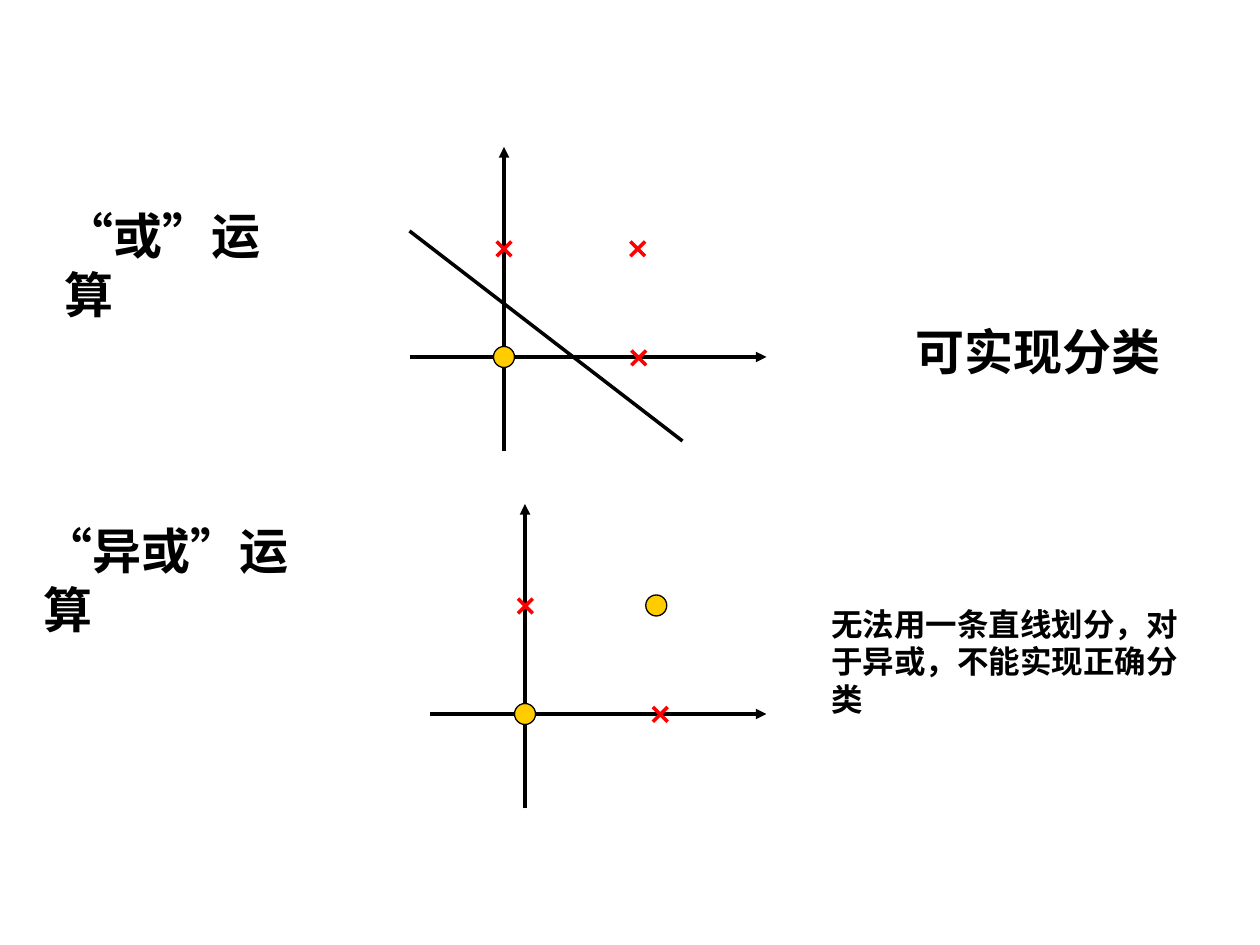
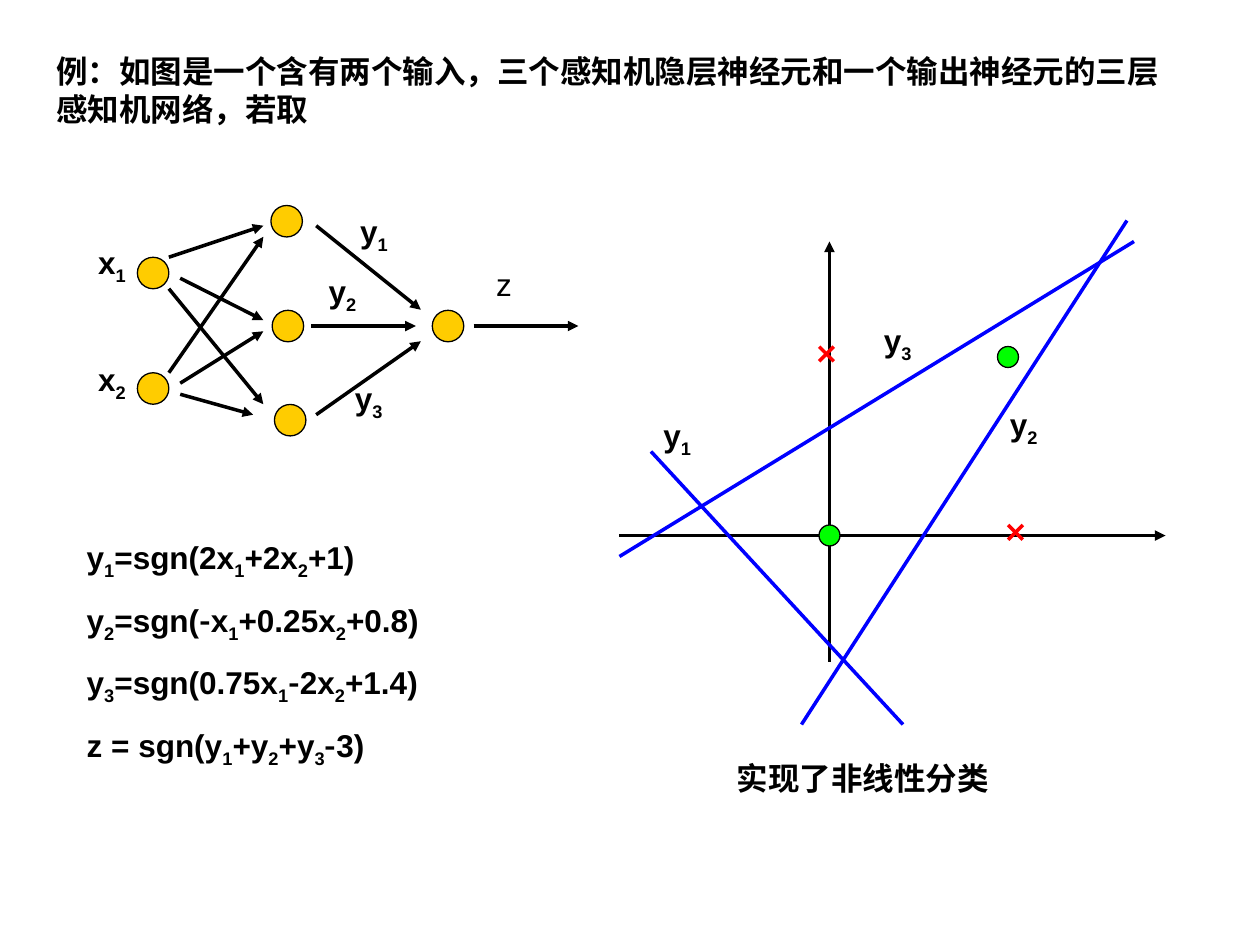
from dataclasses import dataclass
from itertools import groupby
from typing import Any, Iterator

from lxml import etree
from pptx import Presentation
from pptx import util as u
from pptx.dml import color
from pptx.enum import lang, shapes, text
from pptx.oxml import ns

Pt = u.Pt
Point = tuple[float, float]

BLACK, RED, BLUE = "000000", "FF0000", "0000FF"
YELLOW, GREEN = "FFCC00", "00FF00"
LATIN, EAST_ASIAN = "Arial", "Noto Sans CJK SC"
TITLE_ONLY, BLANK = 5, 6
DOT, NEURON, CROSS = 12, 18, 8.4


@dataclass
class Label:
    lines: tuple[str, ...]
    x: float
    y: float
    w: float = 36
    h: float = 31.5
    size: float = 18
    bold: bool = True


@dataclass
class Line:
    start: Point
    end: Point
    color: str = BLACK
    arrow: bool = False


@dataclass
class Plot:
    origin: Point
    x_axis: Point
    y_axis: Point
    dot_color: str
    dots: tuple[Point, ...]
    crosses: tuple[Point, ...]
    dividers: tuple[Line, ...] = ()


OR_PLOT = Plot((288, 204), (234, 438), (258, 84), YELLOW, (),
               ((288, 142.2), (365, 204.5), (364.4, 142.2)),
               (Line((234, 132), (390, 252)),))
XOR_PLOT = Plot((300, 408), (246, 438), (462, 288), YELLOW, ((375, 346),),
                ((300.2, 346.3), (377.3, 408.2)))
NETWORK_PLOT = Plot((474, 306), (354, 666), (378, 138), GREEN, ((576, 204),),
                    ((472.3, 202.3), (580.3, 304.2)),
                    (Line((354, 318), (648, 138), BLUE),
                     Line((458, 414), (644, 126), BLUE),
                     Line((372, 258), (516, 414), BLUE)))

OPERATION_LABELS = (
    Label(("“或”运算",), 30, 114, 138, 75, 28),
    Label(("“异或”运算",), 18, 294, 162, 75, 28),
    Label(("可实现分类",), 516, 180, 180, 41, 28),
    Label(("无法用一条直线划分，对于异或，不能实现正确分类",), 468, 342, 228, 72),
)

EXAMPLE = Label(("例：如图是一个含有两个输入，三个感知机隐层神经元和一个输出神经元的三层感知机网络，若取",),
                25, 26, 648, 50.5)

NEURONS = ((87.5, 156), (87.5, 222), (163.8, 126.4), (164.5, 186.3),
           (165.8, 240.1), (256, 186.3))
SIGNALS = (
    Line((96.5, 147), (150.5, 129), arrow=True),
    Line((103, 159), (150.5, 183), arrow=True),
    Line((96.5, 165), (150.5, 231), arrow=True),
    Line((96.5, 213), (150.5, 135.3), arrow=True),
    Line((103, 219), (150.5, 189.3), arrow=True),
    Line((103, 225.3), (144.7, 237), arrow=True),
    Line((180.7, 129), (240.5, 177), arrow=True),
    Line((177.8, 186.3), (237.6, 186.3), arrow=True),
    Line((180.7, 237), (240.5, 195), arrow=True),
    Line((270.7, 186.3), (330.5, 186.3), arrow=True),
)
NETWORK_LABELS = (
    Label(("y_1",), 198.7, 117.4),
    Label(("y_2",), 180.7, 152),
    Label(("z",), 276.5, 147.6, bold=False),
    Label(("x_1",), 49, 135.4),
    Label(("x_2",), 49, 202.3),
    Label(("y_3",), 195.8, 213),
    Label(("y_1=sgn(2x_1+2x_2+1)", "y_2=sgn(-x_1+0.25x_2+0.8)",
           "y_3=sgn(0.75x_1-2x_2+1.4)", "z = sgn(y_1+y_2+y_3-3)"),
          42.5, 304, 282, 140),
    Label(("实现了非线性分类",), 414, 430, 228, 29),
    Label(("y_1",), 372, 234),
    Label(("y_2",), 570, 228),
    Label(("y_3",), 498, 180),
)


def rgb(value: str) -> color.RGBColor:
    return color.RGBColor.from_string(value)


def split_runs(line: str) -> Iterator[tuple[str, bool, str]]:
    for i, part in enumerate(line.split("_")):
        if i:
            yield part[0], True, LATIN
            part = part[1:]
        for is_minus, chars in groupby(part, key=lambda c: c == "-"):
            yield "".join(chars), False, EAST_ASIAN if is_minus else LATIN


def write(sp: Any, label: Label) -> None:
    sp.left, sp.top, sp.width, sp.height = map(Pt, (label.x, label.y, label.w, label.h))
    tf = sp.text_frame
    tf.word_wrap = True
    tf.auto_size = text.MSO_AUTO_SIZE.NONE
    tf.vertical_anchor = text.MSO_ANCHOR.TOP
    tf.margin_left = tf.margin_right = Pt(7.2)
    tf.margin_top = tf.margin_bottom = Pt(3.6)
    for i, line in enumerate(label.lines):
        p = tf.add_paragraph() if i else tf.paragraphs[0]
        p.alignment = text.PP_ALIGN.LEFT
        p.space_before = Pt(11.25 if i else 0)
        for chars, subscript, font_name in split_runs(line):
            r = p.add_run()
            r.text = chars
            r.font.name, r.font.size, r.font.bold = font_name, Pt(label.size), label.bold
            r.font.color.rgb = rgb(BLACK)
            r.font.language_id = lang.MSO_LANGUAGE_ID.SIMPLIFIED_CHINESE
            rPr = r._r.get_or_add_rPr()
            etree.SubElement(rPr, ns.qn("a:ea"), typeface=EAST_ASIAN)
            if subscript:
                rPr.set("baseline", "-25000")


def add_label(s: Any, label: Label) -> None:
    write(s.shapes.add_textbox(0, 0, 0, 0), label)


def add_line(parent: Any, line: Line) -> None:
    cx = parent.add_connector(shapes.MSO_CONNECTOR.STRAIGHT,
                              *map(Pt, (*line.start, *line.end)))
    cx.line.color.rgb = rgb(line.color)
    cx.line.width = Pt(2)
    if line.arrow:
        etree.SubElement(cx.line._get_or_add_ln(), ns.qn("a:tailEnd"), type="triangle")
    etree.SubElement(cx._element.spPr, ns.qn("a:effectLst"))


def add_circle(parent: Any, center: Point, size: float, fill: str) -> None:
    x, y = center
    sp = parent.add_shape(shapes.MSO_SHAPE.OVAL,
                          *map(Pt, (x - size / 2, y - size / 2, size, size)))
    sp.shadow.inherit = False
    sp.fill.solid()
    sp.fill.fore_color.rgb = rgb(fill)
    sp.line.color.rgb = rgb(BLACK)
    sp.line.width = Pt(0.75)


def add_cross(s: Any, center: Point) -> None:
    group = s.shapes.add_group_shape()
    x, y = center
    half = CROSS / 2
    for dx in (half, -half):
        add_line(group.shapes, Line((x + dx, y - half), (x - dx, y + half), RED))


def add_plot(s: Any, plot: Plot) -> None:
    x, y = plot.origin
    (left, right), (bottom, top) = plot.x_axis, plot.y_axis
    add_line(s.shapes, Line((left, y), (right, y), arrow=True))
    add_line(s.shapes, Line((x, bottom), (x, top), arrow=True))
    for center in (plot.origin, *plot.dots):
        add_circle(s.shapes, center, DOT, plot.dot_color)
    for center in plot.crosses:
        add_cross(s, center)
    for divider in plot.dividers:
        add_line(s.shapes, divider)


def add_network(s: Any) -> None:
    group = s.shapes.add_group_shape()
    for center in NEURONS:
        add_circle(group.shapes, center, NEURON, YELLOW)
    for signal in SIGNALS:
        add_line(group.shapes, signal)


def build_operations(prs: Any) -> None:
    s = prs.slides.add_slide(prs.slide_layouts[BLANK])
    for plot in (OR_PLOT, XOR_PLOT):
        add_plot(s, plot)
    for label in OPERATION_LABELS:
        add_label(s, label)


def build_perceptron_example(prs: Any) -> None:
    s = prs.slides.add_slide(prs.slide_layouts[TITLE_ONLY])
    write(s.shapes.title, EXAMPLE)
    add_network(s)
    add_plot(s, NETWORK_PLOT)
    for label in NETWORK_LABELS:
        add_label(s, label)


def main() -> None:
    prs = Presentation()
    prs.slide_width, prs.slide_height = Pt(720), Pt(540)
    build_operations(prs)
    build_perceptron_example(prs)
    prs.save("out.pptx")


if __name__ == "__main__":
    main()
